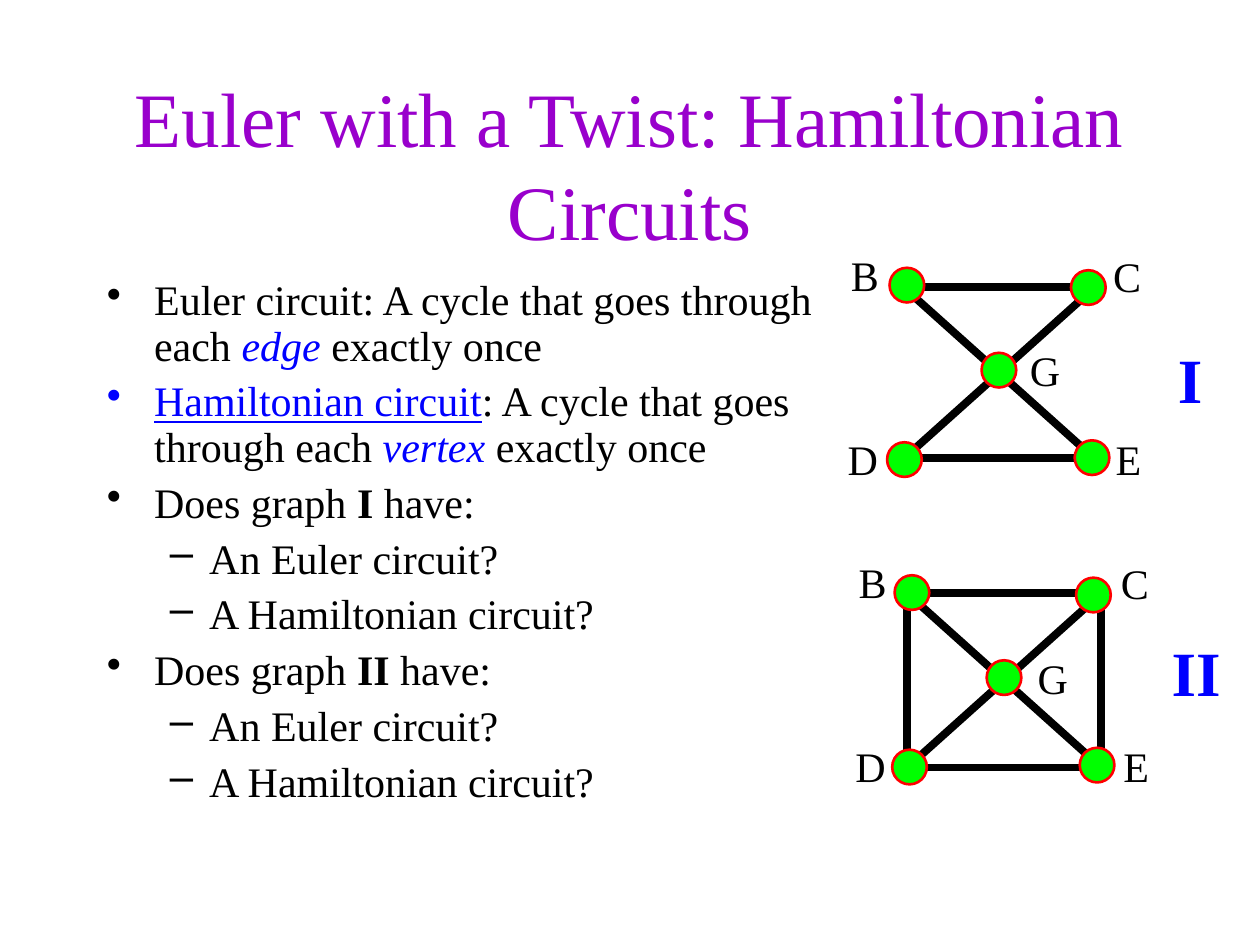
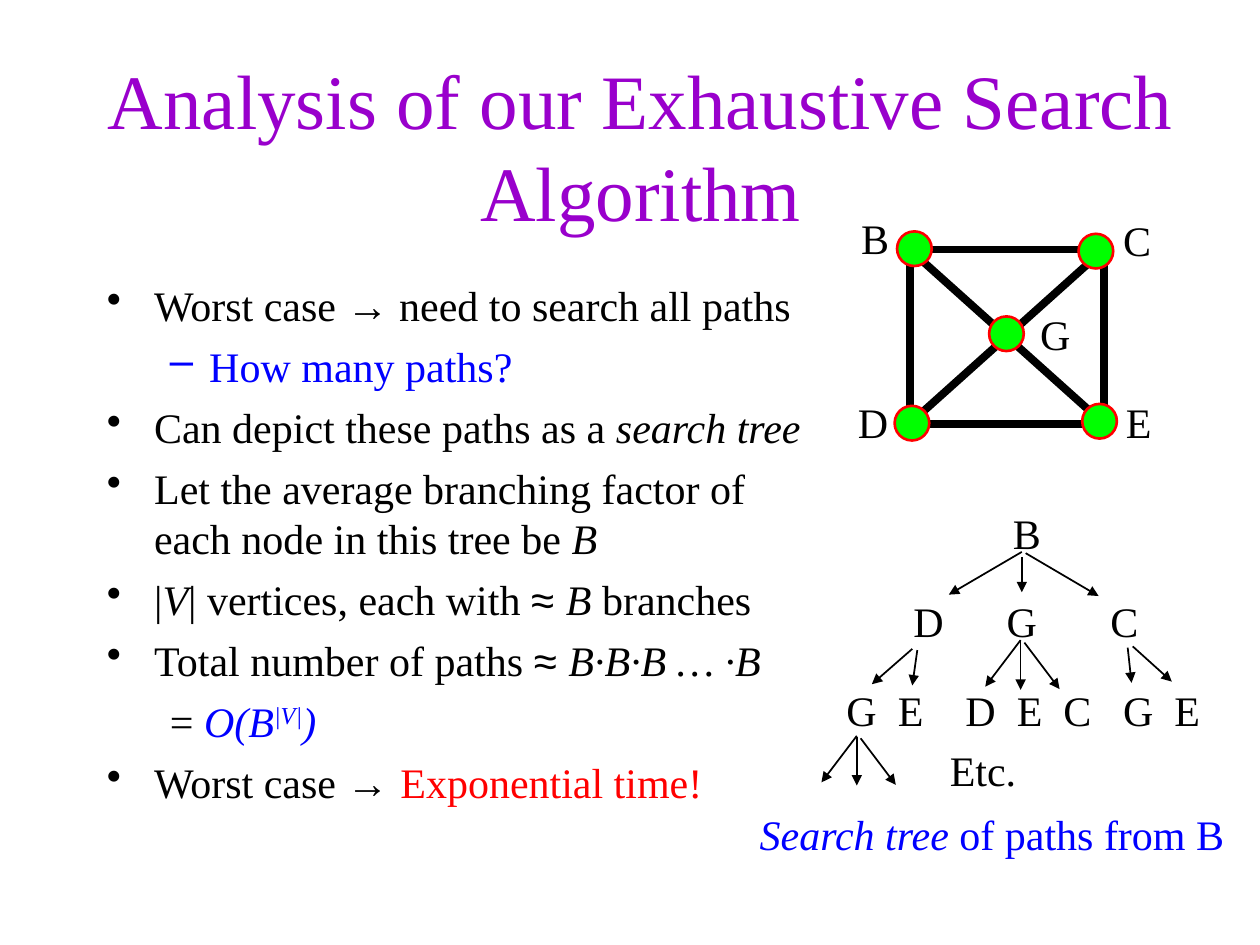
from lxml import etree
from pptx import Presentation
from pptx import util as u
from pptx.dml.color import RGBColor
from pptx.enum import shapes, text
from pptx.oxml import ns

BLACK = RGBColor(0x00, 0x00, 0x00)
BLUE = RGBColor(0x00, 0x00, 0xFF)
RED = RGBColor(0xFF, 0x00, 0x00)
GREEN = RGBColor(0x00, 0xFF, 0x00)
PURPLE = RGBColor(0x99, 0x00, 0xCC)

BASE = {"name": "Times New Roman", "size": u.Pt(24), "color": BLACK}
TITLE = {"size": u.Pt(44), "color": PURPLE}
NUMERAL = {"size": u.Pt(36), "bold": True, "color": BLUE}
BLUE_TEXT = {"color": BLUE}
BLUE_ITALIC = {"color": BLUE, "italic": True}
ITALIC = {"italic": True}
BOLD = {"bold": True}
SYMBOL = {"name": "Arial"}

LEVELS = [("•", 27, -27), ("–", 58.5, -22.5)]

GRAPH_WIDTH, GRAPH_HEIGHT = 111, 99.5
VERTEX_SIZE = 19.8
VERTICES = {
    "B": (-7.2, -10.4),
    "C": (96.5, -9),
    "D": (-8.6, 89.3),
    "E": (98.6, 88.2),
    "G": (45.4, 38.2),
}
VERTEX_LABELS = {
    "B": (-34.8, -24.5),
    "C": (115, -23.8),
    "D": (-36.7, 80.6),
    "E": (116.5, 80.6),
    "G": (67.5, 30.2),
}

TREE_LEVELS = [
    (286.6, [("B", 571.7)]),
    (337, [("D", 514.8), ("G", 568.1), ("C", 627.4)]),
    (387.4, [("G", 476.6), ("E", 506), ("D", 544.6), ("E", 574),
             ("C", 600.6), ("G", 634.7), ("E", 664)]),
]
ROOT_FAN = [(583.9, 315.4, 542.2, 339.8), (583.9, 318.2, 583.9, 338.4),
            (586.1, 316.1, 627.8, 340.6)]
D_FAN = [(521.3, 370.8, 498.2, 391), (524.2, 371.5, 521.3, 391.7)]
C_FAN = [(647.3, 369.4, 669.6, 389.5), (644.4, 370.1, 646.6, 390.2)]
TRIPLE_FAN = [(0, 0, -20.2, 26.6), (0, 0.7, 0, 28.4), (2.2, 1.4, 22.3, 28)]
TRIPLE_STARTS = [(583.2, 365.8), (489.6, 420.5)]


def add_spans(para, spans):
    for words, changes in spans:
        span = para.add_run()
        span.text = words
        for key, value in {**BASE, **changes}.items():
            if key == "color":
                span.font.color.rgb = value
            elif key == "baseline":
                span._r.get_or_add_rPr().set(key, str(value))
            else:
                setattr(span.font, key, value)


def add_box(page, left, top, width, height):
    box = page.shapes.add_textbox(*map(u.Pt, (left, top, width, height)))
    box.text_frame.word_wrap = True
    return box.text_frame


def add_label(page, words, left, top, width=36, height=36, **changes):
    frame = add_box(page, left, top, width, height)
    add_spans(frame.paragraphs[0], [(words, changes)])
    return frame.paragraphs[0]


def add_title(page, words, left, top, width, height):
    frame = add_box(page, left, top, width, height)
    frame.vertical_anchor = text.MSO_ANCHOR.MIDDLE
    para = frame.paragraphs[0]
    para.alignment = text.PP_ALIGN.CENTER
    add_spans(para, [(words, TITLE)])


def set_bullet(para, mark, margin, indent, color):
    props = para._p.get_or_add_pPr()
    props.set("marL", str(u.Pt(margin)))
    props.set("indent", str(u.Pt(indent)))
    if not mark:
        etree.SubElement(props, ns.qn("a:buNone"))
        return
    fill = etree.SubElement(props, ns.qn("a:buClr"))
    etree.SubElement(fill, ns.qn("a:srgbClr")).set("val", str(color))
    etree.SubElement(props, ns.qn("a:buChar")).set("char", mark)


def add_body(page, items, line_spacing):
    frame = add_box(page, 54, 156.2, 422.3, 324)
    for number, (level, bulleted, spans) in enumerate(items):
        para = frame.add_paragraph() if number else frame.paragraphs[0]
        para.level = level
        para.line_spacing = line_spacing
        para.space_before = u.Pt(6)
        mark, margin, indent = LEVELS[level]
        color = spans[0][1].get("color", BLACK)
        set_bullet(para, mark if bulleted else None, margin, indent, color)
        add_spans(para, spans)


def add_line(page, start_x, start_y, end_x, end_y, weight, arrow=False):
    line = page.shapes.add_connector(
        shapes.MSO_CONNECTOR.STRAIGHT,
        *map(u.Pt, (start_x, start_y, end_x, end_y)))
    line.line.color.rgb = BLACK
    line.line.width = u.Pt(weight)
    props = line._element.spPr
    if arrow:
        outline = props.find(ns.qn("a:ln"))
        etree.SubElement(outline, ns.qn("a:tailEnd")).set("type", "triangle")
    etree.SubElement(props, ns.qn("a:effectLst"))


def add_outlined(page, kind, bounds, fill, color, weight):
    shape = page.shapes.add_shape(kind, *map(u.Pt, bounds))
    shape.shadow.inherit = False
    if fill is None:
        shape.fill.background()
    else:
        shape.fill.solid()
        shape.fill.fore_color.rgb = fill
    shape.line.color.rgb = color
    shape.line.width = u.Pt(weight)


def add_graph(page, left, top, closed=True, label_shift=0):
    right, bottom = left + GRAPH_WIDTH, top + GRAPH_HEIGHT
    if closed:
        add_outlined(page, shapes.MSO_SHAPE.RECTANGLE,
                     (left, top, GRAPH_WIDTH, GRAPH_HEIGHT), None, BLACK, 4.5)
    else:
        for level in (top + 0.7, bottom - 1.4):
            add_line(page, left + 2, level, right - 4, level, 4.5)
    add_line(page, left, top, right, bottom, 4.5)
    add_line(page, left, bottom, right, top, 4.5)
    for across, down in VERTICES.values():
        bounds = (left + across, top + down, VERTEX_SIZE, VERTEX_SIZE)
        add_outlined(page, shapes.MSO_SHAPE.OVAL, bounds, GREEN, RED, 1.5)
    for name, (across, down) in VERTEX_LABELS.items():
        add_label(page, name, left + across + label_shift, top + down)


def add_search_tree(page):
    for top, nodes in TREE_LEVELS:
        for name, left in nodes:
            add_label(page, name, left, top)
    triples = [(x + a, y + b, x + c, y + d)
               for x, y in TRIPLE_STARTS for a, b, c, d in TRIPLE_FAN]
    for ends in ROOT_FAN + D_FAN + C_FAN + triples:
        add_line(page, *ends, 1, arrow=True)
    add_label(page, "Etc.", 535.7, 421.9, 67)
    caption = add_label(page, "Search tree", 427, 458.6, 290, **BLUE_ITALIC)
    add_spans(caption, [(" of paths from B", BLUE_TEXT)])


def graph_questions(numeral):
    return [
        (0, True, [("Does graph ", {}), (numeral, BOLD), (" have:", {})]),
        (1, True, [("An Euler circuit?", {})]),
        (1, True, [("A Hamiltonian circuit?", {})]),
    ]


def build_circuits(page):
    add_title(page, "Euler with a Twist: Hamiltonian Circuits",
              54, 48.2, 612, 90)
    add_body(page, [
        (0, True, [("Euler circuit: A cycle that goes through each ", {}),
                   ("edge", BLUE_ITALIC), (" exactly once", {})]),
        (0, True, [("Hamiltonian circuit", {"color": BLUE, "underline": True}),
                   (": A cycle that goes through each ", {}),
                   ("vertex", BLUE_ITALIC), (" exactly once", {})]),
        *graph_questions("I"),
        *graph_questions("II"),
    ], 0.9)
    add_graph(page, 518.4, 339.1)
    add_graph(page, 515.5, 163.4, closed=False, label_shift=-1.5)
    add_label(page, "I", 666, 190.8, 40, 50, **NUMERAL)
    add_label(page, "II", 662.4, 358.6, 50, 50, **NUMERAL)


def build_analysis(page):
    add_title(page, "Analysis of our Exhaustive Search Algorithm",
              52.6, 51.1, 627.1, 63.4)
    add_body(page, [
        (0, True, [("Worst case ", {}), ("→", SYMBOL),
                   (" need to search all paths", {})]),
        (1, True, [("How many paths?", BLUE_TEXT)]),
        (0, True, [("Can depict these paths as a ", {}),
                   ("search tree", ITALIC)]),
        (0, True, [("Let the average branching factor of each node in this "
                    "tree be ", {}), ("B", ITALIC)]),
        (0, True, [("|", {}), ("V", ITALIC), ("| vertices, each with ", {}),
                   ("≈ ", SYMBOL), ("B", ITALIC), (" branches", {})]),
        (0, True, [("Total number of paths ", {}), ("≈ ", SYMBOL),
                   ("B·B·B … ·B", ITALIC)]),
        (1, False, [("= ", {}), ("O(B", BLUE_ITALIC),
                    ("|V|", {**BLUE_ITALIC, "baseline": 30000}),
                    (")", BLUE_ITALIC)]),
        (0, True, [("Worst case ", {}), ("→ ", SYMBOL),
                   ("Exponential time!", {"color": RED})]),
    ], 1.0)
    add_graph(page, 519.8, 142.6)
    add_search_tree(page)


def main():
    deck = Presentation()
    deck.slide_width, deck.slide_height = u.Pt(720), u.Pt(540)
    for build in (build_circuits, build_analysis):
        build(deck.slides.add_slide(deck.slide_layouts[6]))
    deck.save("out.pptx")


if __name__ == "__main__":
    main()
